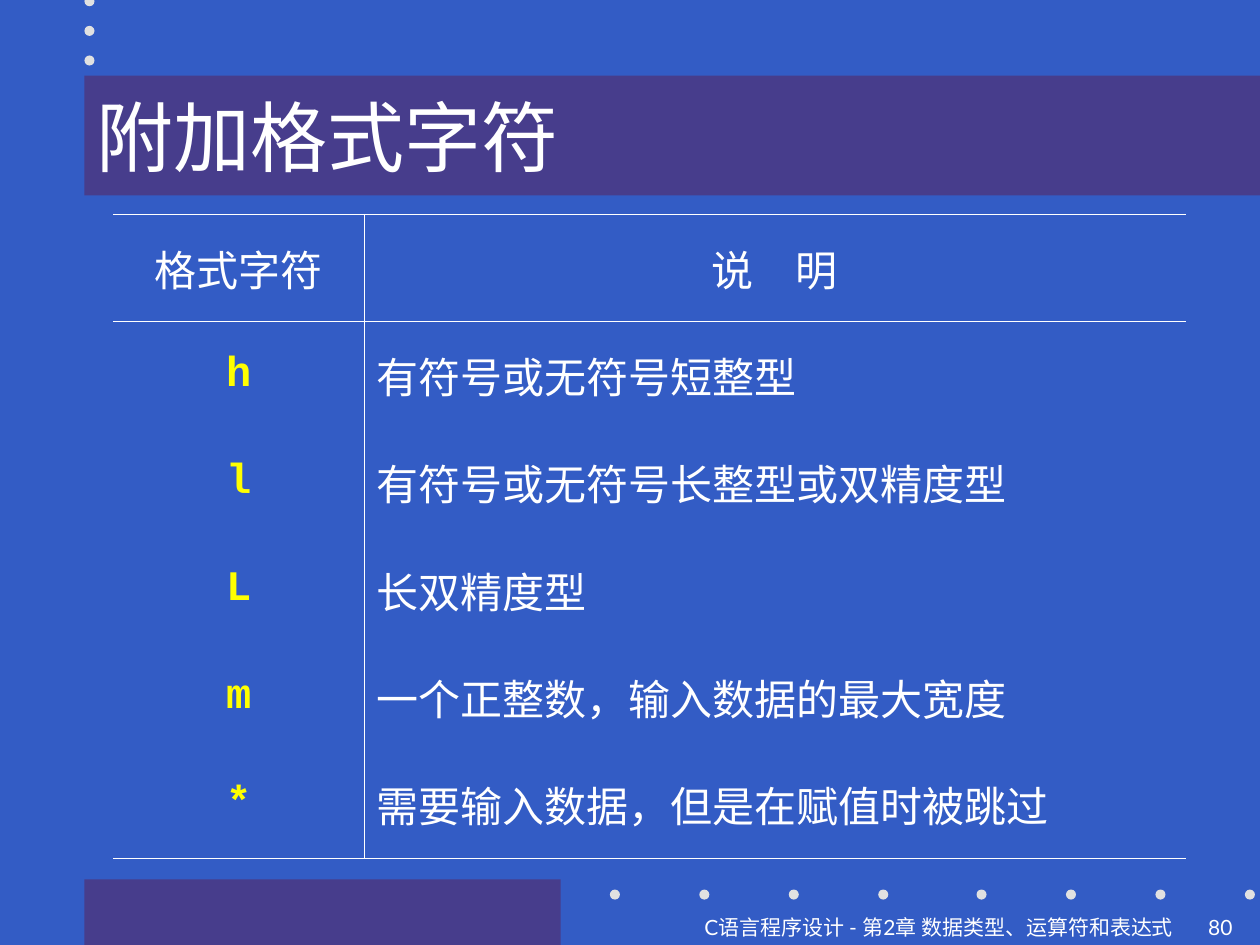
import pptx
import pptx.util
import pptx.dml.color
import pptx.enum.shapes
import pptx.enum.text
import pptx.oxml
import pptx.oxml.ns
from dataclasses import dataclass

Inches = pptx.util.Inches
Pt = pptx.util.Pt
RGB = pptx.dml.color.RGBColor.from_string
ALIGN = pptx.enum.text.PP_ALIGN
MIDDLE = pptx.enum.text.MSO_ANCHOR.MIDDLE
SHAPES = pptx.enum.shapes.MSO_SHAPE


@dataclass(frozen=True)
class Theme:
    background: str = "335CC5"
    band: str = "473D8C"
    dot: str = "E1E1E1"
    text: str = "FFFFFF"
    code: str = "FFFF00"
    title_font: str = "Times New Roman"
    code_font: str = "Courier New"
    footer_font: str = "Lato"
    title_size: int = 44
    table_size: int = 24
    footer_size: int = 12
    border_width: float = 0.45


theme = Theme()


def add_filled(kind, left, top, width, height, color):
    shape = slide.shapes.add_shape(
        kind, Inches(left), Inches(top), Inches(width), Inches(height))
    shape.shadow.inherit = False
    shape.fill.solid()
    shape.fill.fore_color.rgb = RGB(color)
    shape.line.fill.background()
    return shape


def write(frame, text, font, size, color, align, bold=False):
    paragraph = frame.paragraphs[0]
    paragraph.text = text
    paragraph.alignment = align
    paragraph.font.name = font
    paragraph.font.size = Pt(size)
    paragraph.font.bold = bold
    paragraph.font.color.rgb = RGB(color)


deck = pptx.Presentation()
deck.slide_width = Inches(10)
deck.slide_height = Inches(7.5)
slide = deck.slides.add_slide(deck.slide_layouts[6])
slide.background.fill.solid()
slide.background.fill.fore_color.rgb = RGB(theme.background)

add_filled(SHAPES.RECTANGLE, 0.67, 6.98, 3.78, 0.52, theme.band)

top_dots = [(0.67, -0.03 + 0.235 * i) for i in range(3)]
bottom_dots = [(start + 0.71 * i, 7.06) for start in (4.84, 7.75) for i in range(4)]
for left, top in top_dots + bottom_dots:
    add_filled(SHAPES.OVAL, left, top, 0.08, 0.08, theme.dot)

title = add_filled(SHAPES.RECTANGLE, 0.67, 0.6, 9.33, 0.95, theme.band)
title.text_frame.word_wrap = True
title.text_frame.vertical_anchor = MIDDLE
write(title.text_frame, "附加格式字符", theme.title_font, theme.title_size,
      theme.text, ALIGN.LEFT)

format_rows = [
    ("格式字符", "说　明"),
    ("h", "有符号或无符号短整型"),
    ("l", "有符号或无符号长整型或双精度型"),
    ("L", "长双精度型"),
    ("m", "一个正整数，输入数据的最大宽度"),
    ("*", "需要输入数据，但是在赋值时被跳过"),
]
last_row = len(format_rows) - 1
formats = slide.shapes.add_table(
    len(format_rows), 2, Inches(0.9), Inches(1.7), Inches(8.51), Inches(5.11)).table
formats.first_row = False
formats.horz_banding = False
formats.columns[0].width = Inches(1.99)
formats.columns[1].width = Inches(6.52)

for r, texts in enumerate(format_rows):
    for c, text in enumerate(texts):
        cell = formats.cell(r, c)
        cell.vertical_anchor = MIDDLE
        is_header = r == 0
        is_code = c == 0 and not is_header
        write(cell.text_frame, text,
              theme.title_font if is_header else theme.code_font,
              theme.table_size,
              theme.code if is_code else theme.text,
              ALIGN.CENTER if is_header or is_code else ALIGN.LEFT,
              is_code)
        ruled = {"L": c == 1, "R": c == 0, "T": r <= 1, "B": r in (0, last_row)}
        for side, visible in ruled.items():
            paint = (f'<a:solidFill><a:srgbClr val="{theme.text}"/></a:solidFill>'
                     if visible else "<a:noFill/>")
            cell._tc.get_or_add_tcPr().append(pptx.oxml.parse_xml(
                f'<a:ln{side} {pptx.oxml.ns.nsdecls("a")} '
                f'w="{int(Pt(theme.border_width))}">{paint}</a:ln{side}>'))
        cell.fill.background()

footers = [
    (0, 9.41, "C语言程序设计 - 第2章 数据类型、运算符和表达式", ALIGN.RIGHT),
    (9.49, 0.51, "80", ALIGN.LEFT),
]
for left, width, text, align in footers:
    footer = slide.shapes.add_textbox(
        Inches(left), Inches(7.21), Inches(width), Inches(0.28))
    footer.text_frame.word_wrap = True
    write(footer.text_frame, text, theme.footer_font, theme.footer_size,
          theme.text, align)

deck.save("out.pptx")
